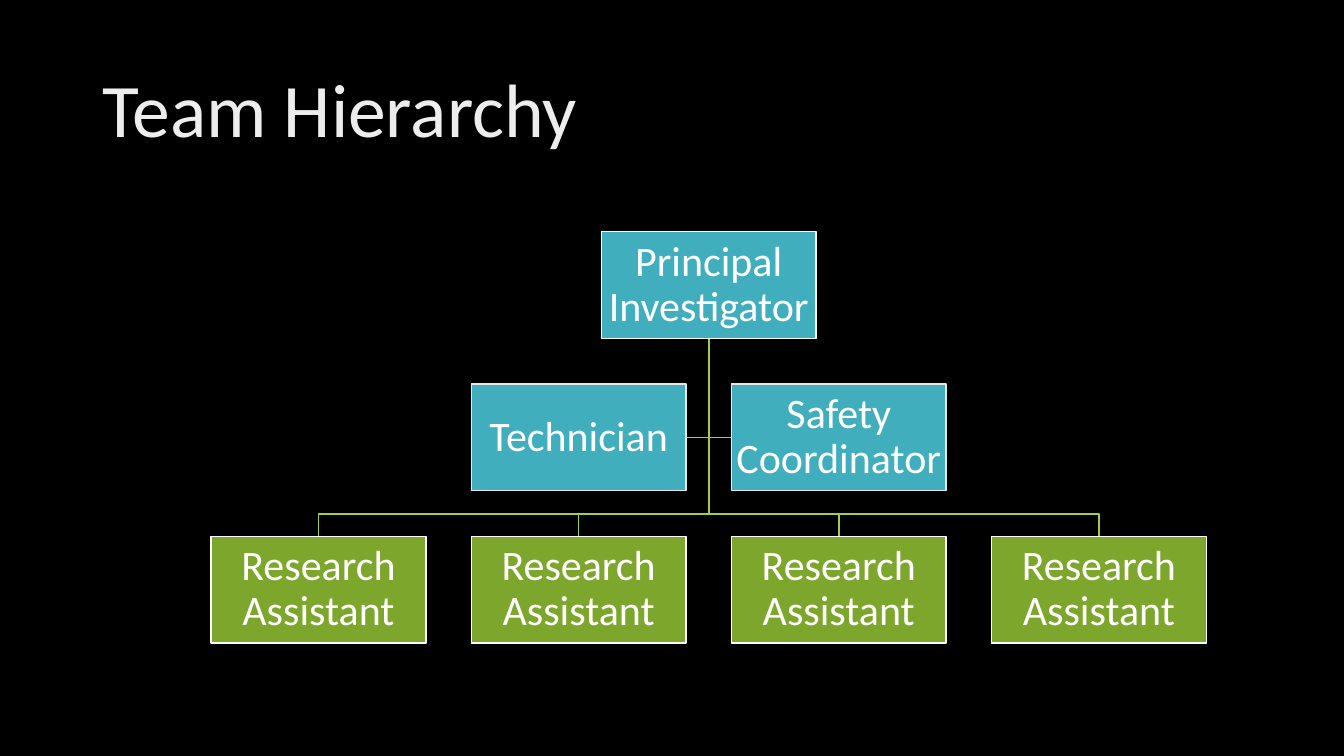
from pptx import Presentation
from pptx.dml.color import RGBColor
from pptx.enum.shapes import MSO_SHAPE as Shape
from pptx.enum.text import MSO_ANCHOR as Anchor, PP_ALIGN as Align
from pptx.util import Inches, Pt

BLACK = RGBColor(0x00, 0x00, 0x00)
WHITE = RGBColor(0xFF, 0xFF, 0xFF)
LIGHT_GREY = RGBColor(0xE7, 0xE7, 0xE7)
TITLE_GREY = RGBColor(0xED, 0xED, 0xED)
TEAL = RGBColor(0x41, 0xAE, 0xBD)
GREEN = RGBColor(0x7D, 0xA6, 0x2C)
LINE_GREEN = RGBColor(0xA2, 0xCF, 0x49)

CENTER = 7.03
STEP = 2.58
BOX_WIDTH, BOX_HEIGHT = 2.13, 1.06
LEAD_TOP, STAFF_TOP, ASSISTANT_TOP = 2.3, 3.81, 5.32
LEAD_BOTTOM = LEAD_TOP + BOX_HEIGHT
BRANCH_Y = 5.1


def write_text(shape, text, size, color, align, margins):
    frame = shape.text_frame
    frame_format = {"word_wrap": True, "vertical_anchor": Anchor.MIDDLE, **margins}
    for name, value in frame_format.items():
        setattr(frame, name, value)
    paragraph = frame.paragraphs[0]
    paragraph.text = text
    paragraph.alignment = align
    paragraph.line_spacing = 0.9
    for name, value in {"name": "Calibri", "size": Pt(size)}.items():
        setattr(paragraph.font, name, value)
    paragraph.font.color.rgb = color


def draw_branch(points):
    start, *rest = [(Inches(x), Inches(y)) for x, y in points]
    builder = slide.shapes.build_freeform(*start)
    builder.add_line_segments(rest, close=False)
    branch = builder.convert_to_shape()
    branch.shadow.inherit = False
    branch.fill.background()
    branch.line.color.rgb = LINE_GREEN
    branch.line.width = Pt(1)


presentation = Presentation()
presentation.slide_width = Inches(13.33)
presentation.slide_height = Inches(7.5)
slide = presentation.slides.add_slide(presentation.slide_layouts[6])
slide.background.fill.solid()
slide.background.fill.fore_color.rgb = BLACK

# Title
title = slide.shapes.add_textbox(Inches(0.92), Inches(0.4), Inches(11.5), Inches(1.45))
write_text(title, "Team Hierarchy", 54, TITLE_GREY, Align.LEFT, {})

# Branches to the two staff boxes
staff_y = STAFF_TOP + BOX_HEIGHT / 2
staff_gap = (STEP - BOX_WIDTH) / 2
for side in (1, -1):
    draw_branch([(CENTER, LEAD_BOTTOM), (CENTER, staff_y), (CENTER + side * staff_gap, staff_y)])

# Branches to the assistants
assistant_columns = (-1.5, -0.5, 0.5, 1.5)
for column in assistant_columns:
    x = CENTER + column * STEP
    draw_branch([(CENTER, LEAD_BOTTOM), (CENTER, BRANCH_Y), (x, BRANCH_Y), (x, ASSISTANT_TOP)])

# Team boxes: text, column offset from the center, top, fill, outline
members = [("Principal Investigator", 0, LEAD_TOP, TEAL, WHITE)]
members += [("Research Assistant", column, ASSISTANT_TOP, GREEN, WHITE) for column in assistant_columns]
members += [
    ("Technician", -0.5, STAFF_TOP, TEAL, LIGHT_GREY),
    ("Safety Coordinator", 0.5, STAFF_TOP, TEAL, LIGHT_GREY),
]
box_margins = {f"margin_{side}": Inches(0.02) for side in ("left", "top", "right", "bottom")}
for text, column, top, fill, outline in members:
    left = CENTER + column * STEP - BOX_WIDTH / 2
    box = slide.shapes.add_shape(
        Shape.RECTANGLE, Inches(left), Inches(top), Inches(BOX_WIDTH), Inches(BOX_HEIGHT))
    box.shadow.inherit = False
    box.fill.solid()
    box.fill.fore_color.rgb = fill
    box.line.color.rgb = outline
    box.line.width = Pt(1)
    write_text(box, text, 30, WHITE, Align.CENTER, box_margins)

presentation.save("out.pptx")
